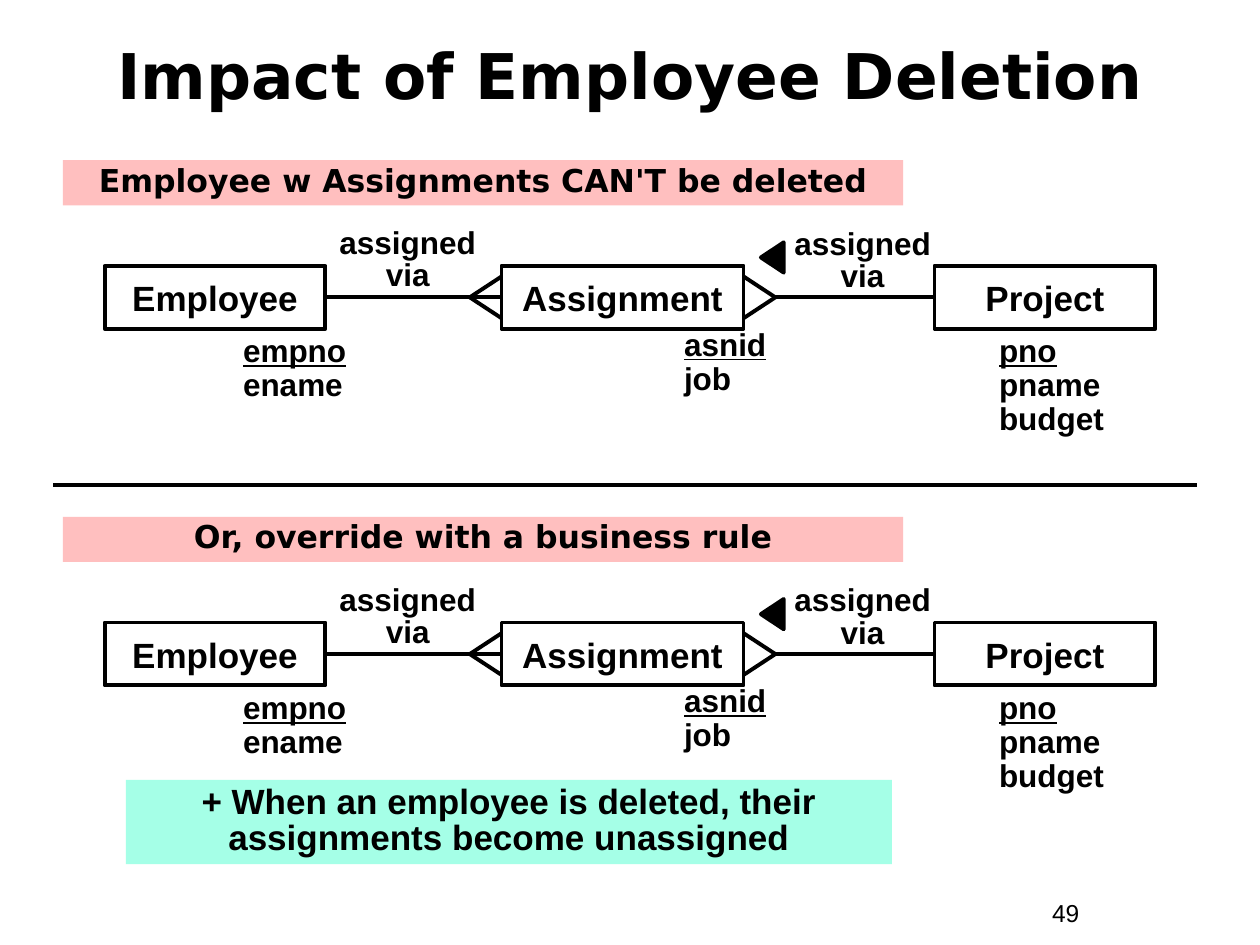
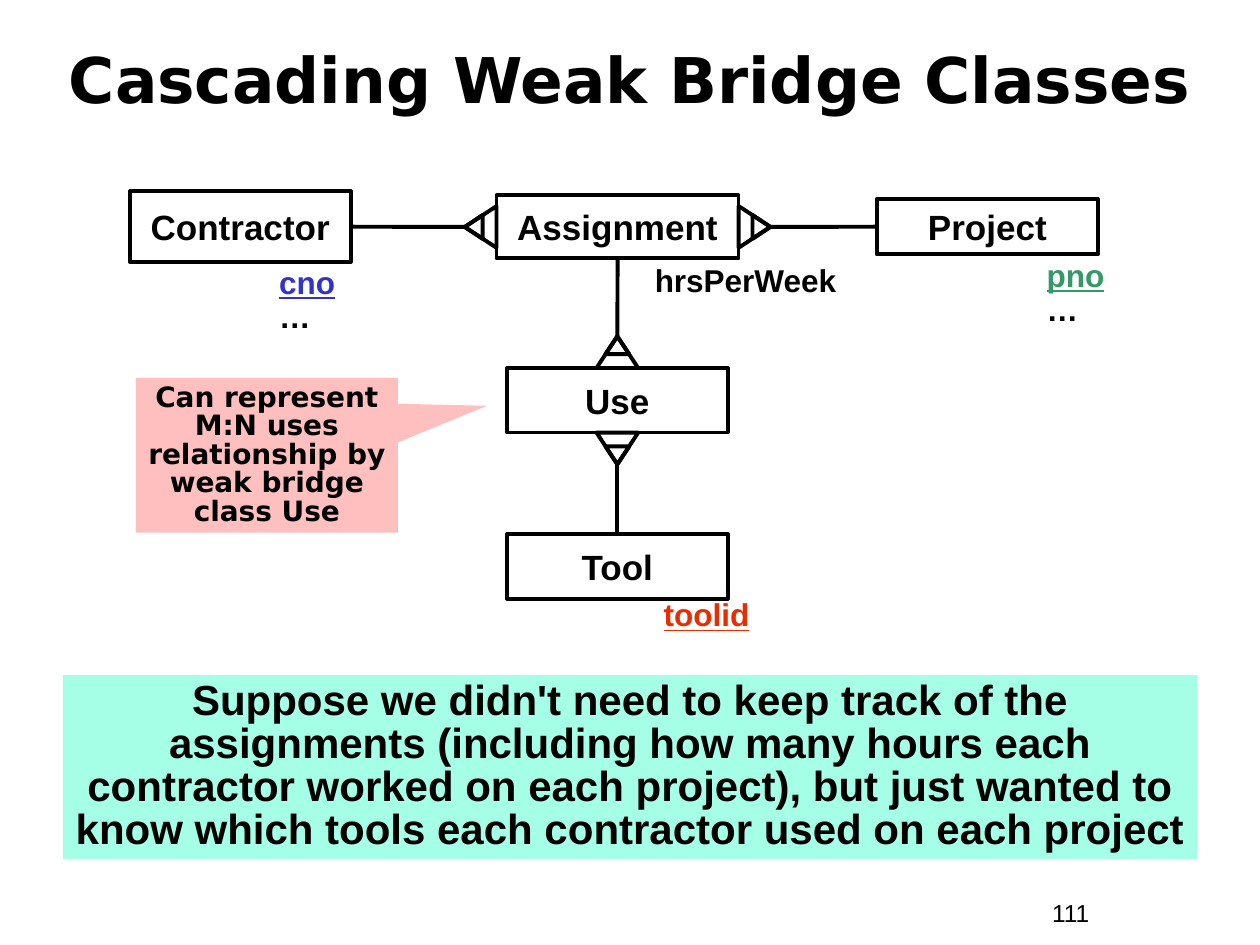
from dataclasses import dataclass

from lxml import etree
from pptx import Presentation
from pptx.dml.color import RGBColor
from pptx.enum import shapes, text
from pptx.oxml import ns
from pptx.util import Cm, Pt


@dataclass(frozen=True)
class Theme:
    ink: str = "000000"
    pink: str = "FFBFBF"
    mint: str = "A5FFE7"
    blue: str = "3333CC"
    green: str = "339966"
    red: str = "EA2D00"
    sans: str = "Arial"
    wide: str = "DejaVu Sans"
    title: float = 36
    large: float = 24
    box: float = 20
    label: float = 18
    note: float = 16
    page: float = 14
    line: float = 2.25


T = Theme()
KIND = shapes.MSO_SHAPE
LEFT, MID = text.PP_ALIGN.LEFT, text.PP_ALIGN.CENTER
# Sides are numbered as connection sites.
TOP, WEST, BASE, EAST = range(4)
WAYS = [(0, -1), (-1, 0), (0, 1), (1, 0)]
REACH, HALF = Cm(0.64), Cm(0.42)


def write(shape, lines, size, font=T.sans, bold=True, align=MID, gap=1.0,
          anchor=text.MSO_ANCHOR.TOP, wrap=True):
    """Fill a shape with lines, each a string or (string, colour, underline)."""
    frame = shape.text_frame
    look = {"word_wrap": wrap, "vertical_anchor": anchor,
            "auto_size": text.MSO_AUTO_SIZE.NONE,
            "margin_left": Cm(0.25), "margin_right": Cm(0.25),
            "margin_top": Cm(0.13), "margin_bottom": Cm(0.13)}
    for name, value in look.items():
        setattr(frame, name, value)
    for i, line in enumerate(lines):
        words, tint, under = (line, T.ink, False) if isinstance(line, str) else line
        para = frame.add_paragraph() if i else frame.paragraphs[0]
        para.alignment, para.line_spacing = align, gap
        para.space_before = Pt(0)
        run = para.add_run()
        run.text = words
        face = {"name": font, "size": Pt(size), "bold": bold, "underline": under}
        for name, value in face.items():
            setattr(run.font, name, value)
        run.font.color.rgb = RGBColor.from_string(tint)


def label(slide, x, y, w, h, lines, size, **style):
    area = slide.shapes.add_textbox(Cm(x), Cm(y), Cm(w), Cm(h))
    write(area, lines, size, **style)


def shape(slide, kind, place, fill=None, edge=True):
    item = slide.shapes.add_shape(kind, *place)
    item.shadow.inherit = False
    if fill:
        item.fill.solid()
        item.fill.fore_color.rgb = RGBColor.from_string(fill)
    else:
        item.fill.background()
    if edge:
        item.line.color.rgb = RGBColor.from_string(T.ink)
        item.line.width = Pt(T.line)
    else:
        item.line.fill.background()
    return item


def box(slide, name, x, y, w=4.45, h=1.27):
    item = shape(slide, KIND.RECTANGLE, (Cm(x), Cm(y), Cm(w), Cm(h)))
    write(item, [name], T.box, anchor=text.MSO_ANCHOR.MIDDLE, wrap=False)
    return item


def band(slide, x, y, w, h, words, size, fill, font=T.sans, kind=KIND.RECTANGLE):
    item = shape(slide, kind, (Cm(x), Cm(y), Cm(w), Cm(h)), fill, edge=False)
    write(item, [words], size, font=font, gap=0.85)
    return item


def keys(slide, x, y, ident, *rest, tint=T.ink):
    """List a class's attributes, its identifier underlined."""
    lines = [(ident, tint, True), *rest]
    label(slide, x, y, 4.5, 0.4 + 0.7 * len(lines), lines, T.label,
          align=LEFT, gap=0.9)


def point(item, side, out=0):
    """Middle of a side, moved outwards by a distance."""
    dx, dy = WAYS[side]
    return (item.left + item.width * (1 + dx) // 2 + dx * out,
            item.top + item.height * (1 + dy) // 2 + dy * out)


def wire(slide, start, end):
    line = slide.shapes.add_connector(shapes.MSO_CONNECTOR.STRAIGHT, *start, *end)
    line.line.color.rgb = RGBColor.from_string(T.ink)
    line.line.width = Pt(T.line)
    etree.SubElement(line._element.spPr, ns.qn("a:effectLst"))
    return line


def link(slide, item, side, end):
    line = wire(slide, point(item, side), end)
    line.begin_connect(item, side)
    return line


def wedge(slide, tip, side, w, h, fill=None):
    """Triangle whose tip lies at a point and faces a side."""
    dx, dy = WAYS[side]
    x, y = tip[0] - dx * h // 2, tip[1] - dy * h // 2
    item = shape(slide, KIND.ISOSCELES_TRIANGLE, (x - w // 2, y - h // 2, w, h), fill)
    item.rotation = -90 * side % 360


def crow(slide, item, side):
    """Crow's foot of two strokes on a left or right side; gives its tip."""
    tip, (x, y) = point(item, side, REACH), point(item, side)
    for shift in (-HALF, HALF):
        wire(slide, tip, (x, y + shift))
    return tip


def weak(slide, item, side):
    """Barred crow's foot of a weak class; gives its tip."""
    tip = point(item, side, REACH)
    wedge(slide, tip, side, 2 * HALF, REACH)
    wedge(slide, tip, side, Cm(0.48), Cm(0.36))
    return tip


def start(deck, title, y, gap, page):
    slide = deck.slides.add_slide(deck.slide_layouts[6])
    label(slide, 0.43, y, 24.54, 1.7, [title], T.title, font=T.wide, gap=gap,
          anchor=text.MSO_ANCHOR.MIDDLE)
    label(slide, 20.96, 17.98, 2.34, 0.86, [page], T.page, bold=False, align=LEFT)
    return slide


def model(slide, y, heading):
    """Heading band with the employee, assignment and project model below."""
    row = y + 2.13
    staff = box(slide, "Employee", 2.11, row)
    task = box(slide, "Assignment", 10.11, row, w=4.88)
    job = box(slide, "Project", 18.84, row)
    link(slide, staff, EAST, point(task, WEST)).end_connect(task, WEST)
    crow(slide, task, WEST)
    link(slide, job, WEST, crow(slide, task, EAST))
    for x, drop in ((6.53, 1.25), (15.7, 1.27)):
        label(slide, x, y + drop, 3.38, 1.55, ["assigned via"], T.label, gap=0.85)
    wedge(slide, (Cm(15.34), Cm(y + 1.96)), WEST, Cm(0.61), Cm(0.46), T.ink)
    keys(slide, 4.65, y + 3.4, "empno", "ename")
    keys(slide, 13.54, y + 3.27, "asnid", "job")
    keys(slide, 19.89, y + 3.4, "pno", "pname", "budget")
    band(slide, 1.27, y, 16.94, 0.91, heading, T.label, T.pink, T.wide)


def impact(deck):
    slide = start(deck, "Impact of Employee Deletion", 0.65, 1.0, "49")
    model(slide, 3.23, "Employee w Assignments CAN'T be deleted")
    wire(slide, (Cm(1.07), Cm(9.78)), (Cm(24.13), Cm(9.78)))
    model(slide, 10.42, "Or, override with a business rule")
    band(slide, 2.54, 15.72, 15.44, 1.7,
         "+ When an employee is deleted, their assignments become unassigned",
         T.box, T.mint)


def cascade(deck):
    slide = start(deck, "Cascading Weak Bridge Classes", 0.84, 0.85, "111")
    crew = box(slide, "Contractor", 2.62, 3.86, h=1.42)
    task = box(slide, "Assignment", 10.01, 3.94, w=4.88)
    job = box(slide, "Project", 17.68, 4.01, h=1.12)
    use = box(slide, "Use", 10.22, 7.42, h=1.3)
    tool = box(slide, "Tool", 10.22, 10.77, h=1.3)
    for item, side, many, foot in ((crew, EAST, task, WEST), (job, WEST, task, EAST),
                                   (task, BASE, use, TOP), (tool, TOP, use, BASE)):
        link(slide, item, side, weak(slide, many, foot))
    keys(slide, 5.38, 5.26, "cno", "…", tint=T.blue)
    keys(slide, 20.85, 5.11, "pno", "…", tint=T.green)
    keys(slide, 13.13, 11.96, "toolid", tint=T.red)
    label(slide, 12.95, 5.21, 4.65, 0.94, ["hrsPerWeek"], T.label, align=LEFT, gap=0.9)
    note = band(slide, 2.74, 7.62, 5.28, 3.12,
                "Can represent M:N uses relationship by weak bridge class Use",
                T.note, T.pink, T.wide, KIND.RECTANGULAR_CALLOUT)
    note.adjustments[0], note.adjustments[1] = 0.84, -0.32
    band(slide, 1.27, 13.61, 22.86, 3.71,
         "Suppose we didn't need to keep track of the assignments (including how many "
         "hours each contractor worked on each project), but just wanted to know which "
         "tools each contractor used on each project", T.large, T.mint)


def main():
    deck = Presentation()
    deck.slide_width, deck.slide_height = Cm(25.4), Cm(19.05)
    impact(deck)
    cascade(deck)
    deck.save("out.pptx")


if __name__ == "__main__":
    main()
